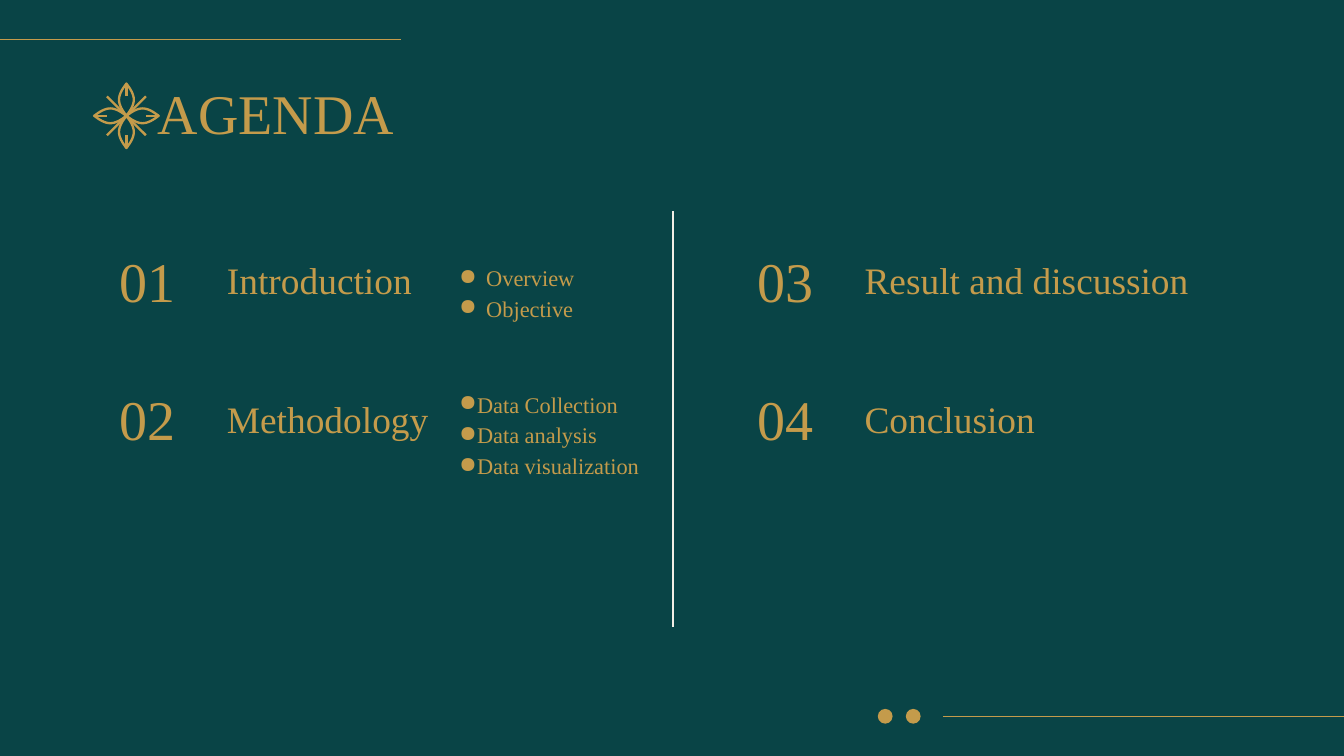
"""Build the agenda slide with its flower, numbered topics and sub-points."""
import math
import lxml.etree
import pptx
import pptx.dml.color
import pptx.enum.shapes
import pptx.enum.text
import pptx.oxml.ns
import pptx.util

Cm, Pt = pptx.util.Cm, pptx.util.Pt
RGB = pptx.dml.color.RGBColor
ANCHOR = pptx.enum.text.MSO_ANCHOR
SHAPE = pptx.enum.shapes.MSO_SHAPE
LINE = pptx.enum.shapes.MSO_CONNECTOR.STRAIGHT
qn = pptx.oxml.ns.qn

GREEN = RGB(0x09, 0x44, 0x46)
GOLD = RGB(0xC4, 0x9B, 0x4B)
CREAM = RGB(0xF2, 0xEE, 0xE5)

FRAME = {"word_wrap": True, "margin_left": Cm(0.25), "margin_right": Cm(0.25),
         "margin_top": Cm(0.25), "margin_bottom": Cm(0.25)}

deck = pptx.Presentation()
deck.slide_width, deck.slide_height = Cm(25.4), Cm(14.29)
slide = deck.slides.add_slide(deck.slide_layouts[6])
slide.background.fill.solid()
slide.background.fill.fore_color.rgb = GREEN
shapes = slide.shapes


def add_text(area, lines, size, anchor=ANCHOR.MIDDLE):
    box = shapes.add_textbox(*[Cm(value) for value in area])
    frame = box.text_frame
    for name, value in {**FRAME, "vertical_anchor": anchor}.items():
        setattr(frame, name, value)
    frame.text = "\n".join(lines)
    for para in frame.paragraphs:
        font = para.runs[0].font
        for name, value in {"name": "Times New Roman", "size": Pt(size)}.items():
            setattr(font, name, value)
        font.color.rgb = GOLD
    return frame.paragraphs


def add_list(area, lines, left, indent):
    for para in add_text(area, lines, 12, ANCHOR.TOP):
        props = para._p.get_or_add_pPr()
        props.set("marL", str(Cm(left)))
        props.set("indent", str(Cm(indent)))
        tint = lxml.etree.SubElement(props, qn("a:buClr"))
        lxml.etree.SubElement(tint, qn("a:srgbClr"), val=str(GOLD))
        lxml.etree.SubElement(props, qn("a:buChar"), char="●")
        para.line_spacing = 1.15


rules = [(0, 0.75, 7.58, 0.75, GOLD), (17.82, 13.54, 25.4, 13.54, GOLD),
         (12.72, 3.99, 12.72, 11.85, CREAM)]
for *ends, color in rules:
    rule = shapes.add_connector(LINE, *[Cm(value) for value in ends])
    rule.line.color.rgb = color
    rule.line.width = Pt(0.75)
    lxml.etree.SubElement(rule._element.spPr, qn("a:effectLst"))

for left in (16.59, 17.12):
    dot = shapes.add_shape(SHAPE.OVAL, Cm(left), Cm(13.4), Cm(0.28), Cm(0.28))
    dot.shadow.inherit = False
    dot.fill.solid()
    dot.fill.fore_color.rgb = GOLD
    dot.line.fill.background()

add_text((2.73, 1.24, 20, 1.6), ["AGENDA"], 30, ANCHOR.TOP)

topics = ["Introduction", "Methodology", "Result and discussion", "Conclusion"]
for index, topic in enumerate(topics):
    col, row = divmod(index, 2)
    left, top = 2.01 + 12.05 * col, 4.67 + 2.62 * row
    add_text((left, top, 2.03, 1.24), [f"{index + 1:02}"], 30)
    add_text((left + 2.03, top, 9.2 if col else 7.34, 1.24), [topic], 20)

add_list((8.43, 4.67, 3.76, 1.6), ["Overview", "Objective"], 0.51, -0.58)
add_list((8.43, 7.06, 4.29, 2.08),
         ["Data Collection", "Data analysis", "Data visualization"], 0.25, -0.33)

steps = [step / 16 for step in range(17)]
side = [(0.61 * step, 0.14 * math.sin(math.pi * step)) for step in steps]
petal = side + [(along, -off) for along, off in reversed(side)]
strokes = []
for turn in range(4):
    angle = turn * math.pi / 2
    parts = [(petal, angle), ([(0.37, 0), (0.61, 0)], angle),
             ([(0, 0), (0.52, 0)], angle + math.pi / 4)]
    for points, tilt in parts:
        cos, sin = math.cos(tilt), math.sin(tilt)
        strokes.append([(1000 * (2.39 + x * cos - y * sin),
                         1000 * (2.19 + x * sin + y * cos)) for x, y in points])

pen = shapes.build_freeform(*strokes[0][0], scale=Cm(1) / 1000)
for index, stroke in enumerate(strokes):
    if index:
        pen.move_to(*stroke[0])
    pen.add_line_segments(stroke[1:], close=False)
flower = pen.convert_to_shape()
flower.shadow.inherit = False
flower.fill.background()
flower.line.color.rgb = GOLD
flower.line.width = Pt(1.25)

deck.save("out.pptx")
